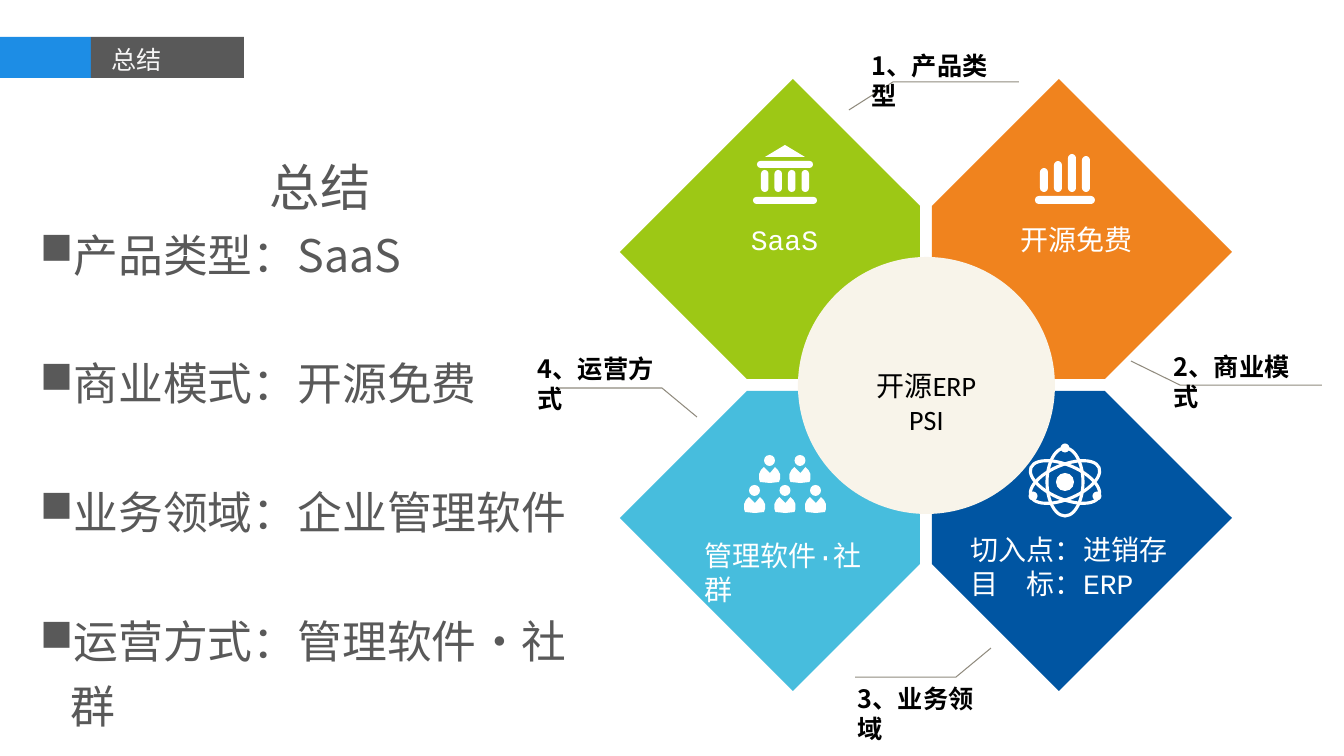
from lxml import etree
from pptx import Presentation
from pptx import util as u
from pptx.dml.color import RGBColor
from pptx.enum import shapes, text
from pptx.oxml import ns

SKY = RGBColor(0x1D, 0x8D, 0xE5)
GRAY = RGBColor(0x59, 0x59, 0x59)
PALE = RGBColor(0xF6, 0xF5, 0xF5)
GREEN = RGBColor(0x9D, 0xC8, 0x15)
ORANGE = RGBColor(0xF0, 0x83, 0x1E)
CYAN = RGBColor(0x47, 0xBD, 0xDD)
NAVY = RGBColor(0x00, 0x55, 0xA2)
CREAM = RGBColor(0xF8, 0xF4, 0xEA)
TAUPE = RGBColor(0x90, 0x8B, 0x7E)
BLACK = RGBColor(0x00, 0x00, 0x00)
WHITE = RGBColor(0xFF, 0xFF, 0xFF)

SANS = "Noto Sans CJK SC"
LATIN = "Calibri"
MONO = "Courier New"
RECT = shapes.MSO_SHAPE.RECTANGLE
ROUND = shapes.MSO_SHAPE.ROUNDED_RECTANGLE
OVAL = shapes.MSO_SHAPE.OVAL
TRIANGLE = shapes.MSO_SHAPE.ISOSCELES_TRIANGLE


def px(length):
    return u.Emu(round(length * 914400 / 100.8))


class Canvas:
    def __init__(self, page):
        self.page = page
        self.target = page.shapes

    def start_group(self):
        self.target = self.page.shapes.add_group_shape().shapes

    def end_group(self):
        self.target = self.page.shapes

    def paint(self, shape, fill, line, weight):
        shape.shadow.inherit = False
        if fill is None:
            shape.fill.background()
        else:
            shape.fill.solid()
            shape.fill.fore_color.rgb = fill
        if line is None:
            shape.line.fill.background()
        else:
            shape.line.color.rgb = line
            shape.line.width = u.Pt(weight)
        return shape

    def shape(self, kind, left, top, width, height, fill=None, line=None, weight=1):
        shape = self.target.add_shape(kind, px(left), px(top), px(width), px(height))
        if kind == ROUND:
            shape.adjustments[0] = 0.5
        return self.paint(shape, fill, line, weight)

    def outline(self, points, fill=None, line=None, weight=0.75):
        spots = [(px(x), px(y)) for x, y in points]
        builder = self.target.build_freeform(*spots[0], scale=1.0)
        builder.add_line_segments(spots[1:], close=fill is not None)
        return self.paint(builder.convert_to_shape(), fill, line, weight)

    def set_words(self, shape, words, size, font, color, bold=False, pitch=None,
                  align=text.PP_ALIGN.LEFT, anchor=text.MSO_ANCHOR.TOP):
        frame = shape.text_frame
        frame.text = words
        frame.word_wrap = True
        frame.auto_size = text.MSO_AUTO_SIZE.NONE
        frame.vertical_anchor = anchor
        for para in frame.paragraphs:
            para.alignment = align
            para.line_spacing = u.Pt(pitch or round(size * 1.2, 1))
            for span in para.runs:
                span.font.size = u.Pt(size)
                span.font.name = font
                span.font.bold = bold
                span.font.color.rgb = color
                east = etree.SubElement(span.font._element, ns.qn("a:ea"))
                east.set("typeface", SANS)
        return frame

    def label(self, left, top, width, height, words, size, font, color, **style):
        box = self.target.add_textbox(px(left), px(top), px(width), px(height))
        return self.set_words(box, words, size, font, color, **style)

    def title(self, left, top, width, height, words):
        title = self.page.shapes.title
        title.left, title.top, title.width, title.height = map(px, (left, top, width, height))
        title.element.getparent().append(title.element)
        self.set_words(title, words, 18, LATIN, PALE, anchor=text.MSO_ANCHOR.MIDDLE)

    def bullet(self, para, indent):
        props = para._p.get_or_add_pPr()
        props.set("marL", str(px(indent)))
        props.set("indent", str(-px(indent)))
        etree.SubElement(props, ns.qn("a:buChar")).set("char", "■")


deck = Presentation()
deck.slide_width, deck.slide_height = px(1344), px(756)
canvas = Canvas(deck.slides.add_slide(deck.slide_layouts[5]))

canvas.shape(RECT, 0, 37, 91, 41, SKY)
canvas.shape(RECT, 91, 37, 153, 41, GRAY)
canvas.title(101, 39, 143, 40, "总结")

CENTER_X, CENTER_Y = 926, 385
PETAL = [(6, 6), (179, 6), (306, 133), (133, 306), (6, 179)]
for side, level, color in [(1, -1, ORANGE), (-1, 1, CYAN), (1, 1, NAVY), (-1, -1, GREEN)]:
    canvas.outline([(CENTER_X + side * x, CENTER_Y + level * y) for x, y in PETAL], color)

hub = canvas.shape(OVAL, CENTER_X - 128, CENTER_Y - 128, 257, 257, CREAM)
hub_frame = canvas.set_words(hub, "开源ERP\nPSI", 20, LATIN, BLACK,
                             align=text.PP_ALIGN.CENTER, anchor=text.MSO_ANCHOR.MIDDLE)
hub_frame.margin_top = px(39)

LEADERS = [
    [(697, 417), (662, 388), (557, 388)],
    [(991, 648), (956, 677), (855, 677)],
    [(1131, 361), (1180, 385), (1322, 385)],
    [(849, 110), (893, 82), (1019, 82)],
]
for leader in LEADERS:
    canvas.outline(leader, line=TAUPE)

canvas.start_group()
canvas.shape(ROUND, 1035, 196, 60, 8, WHITE)
for index, height in enumerate([24, 31, 38, 36]):
    canvas.shape(ROUND, 1040 + 14 * index, 192 - height, 8, height, WHITE)

canvas.start_group()
canvas.shape(TRIANGLE, 765, 145, 40, 12, WHITE)
canvas.shape(ROUND, 757, 161, 56, 7, WHITE)
canvas.shape(ROUND, 753, 197, 64, 7, WHITE)
for index in range(4):
    canvas.shape(ROUND, 761 + 13.5 * index, 170, 7.5, 22, WHITE)

canvas.start_group()
BODY = [(5, 0), (11, 6), (16, 0), (19, 3), (21, 7), (21, 12), (20, 15),
        (11, 16), (1, 15), (0, 12), (0, 7), (2, 3)]
ROWS = [(759, 455, 2), (744, 485, 3)]
for left, top, count in ROWS:
    for index in range(count):
        start = left + 30.5 * index
        canvas.shape(OVAL, start + 5, top, 11, 11, WHITE)
        canvas.outline([(start + x, top + 12 + y) for x, y in BODY], WHITE)

canvas.start_group()
ATOM_X, ATOM_Y = 1065, 482
for width, height, angle in [(36, 68, 0), (74, 34, -23), (74, 34, 23)]:
    orbit = canvas.shape(OVAL, ATOM_X - width / 2, ATOM_Y - height / 2, width, height,
                         line=WHITE, weight=2.25)
    orbit.rotation = angle
for x, y, size in [(0, 0, 18), (32, 14, 9), (-32, 14, 9), (0, -34, 9)]:
    canvas.shape(OVAL, ATOM_X + x - size / 2, ATOM_Y + y - size / 2, size, size, WHITE)
canvas.end_group()

LABELS = [
    (862, 45, "1、产品类型"),
    (848, 678, "3、业务领域"),
    (528, 348, "4、运营方式"),
    (1164, 346, "2、商业模式"),
]
for left, top, words in LABELS:
    canvas.label(left, top, 155, 40, words, 18, SANS, BLACK, bold=True)

CAPTIONS = [
    (741, 218, 95, 44, "SaaS"),
    (1011, 218, 140, 44, "开源免费"),
    (695, 534, 190, 44, "管理软件·社群"),
    (961, 528, 225, 78, "切入点：进销存\n目　标：ERP"),
]
for left, top, width, height, words in CAPTIONS:
    canvas.label(left, top, width, height, words, 20, MONO, WHITE)

SUMMARY = ["总结", "产品类型：SaaS", "商业模式：开源免费", "业务领域：企业管理软件", "运营方式：管理软件·社群"]
summary = canvas.label(30, 139, 580, 539, "\n".join(SUMMARY), 32, SANS, GRAY, pitch=46)
heading, *points = summary.paragraphs
heading.alignment = text.PP_ALIGN.CENTER
heading.line_spacing = u.Pt(52)
heading.runs[0].font.size = u.Pt(36)
for index, point in enumerate(points):
    point.space_before = u.Pt(46 if index else 0)
    canvas.bullet(point, 31)

deck.save("out.pptx")
